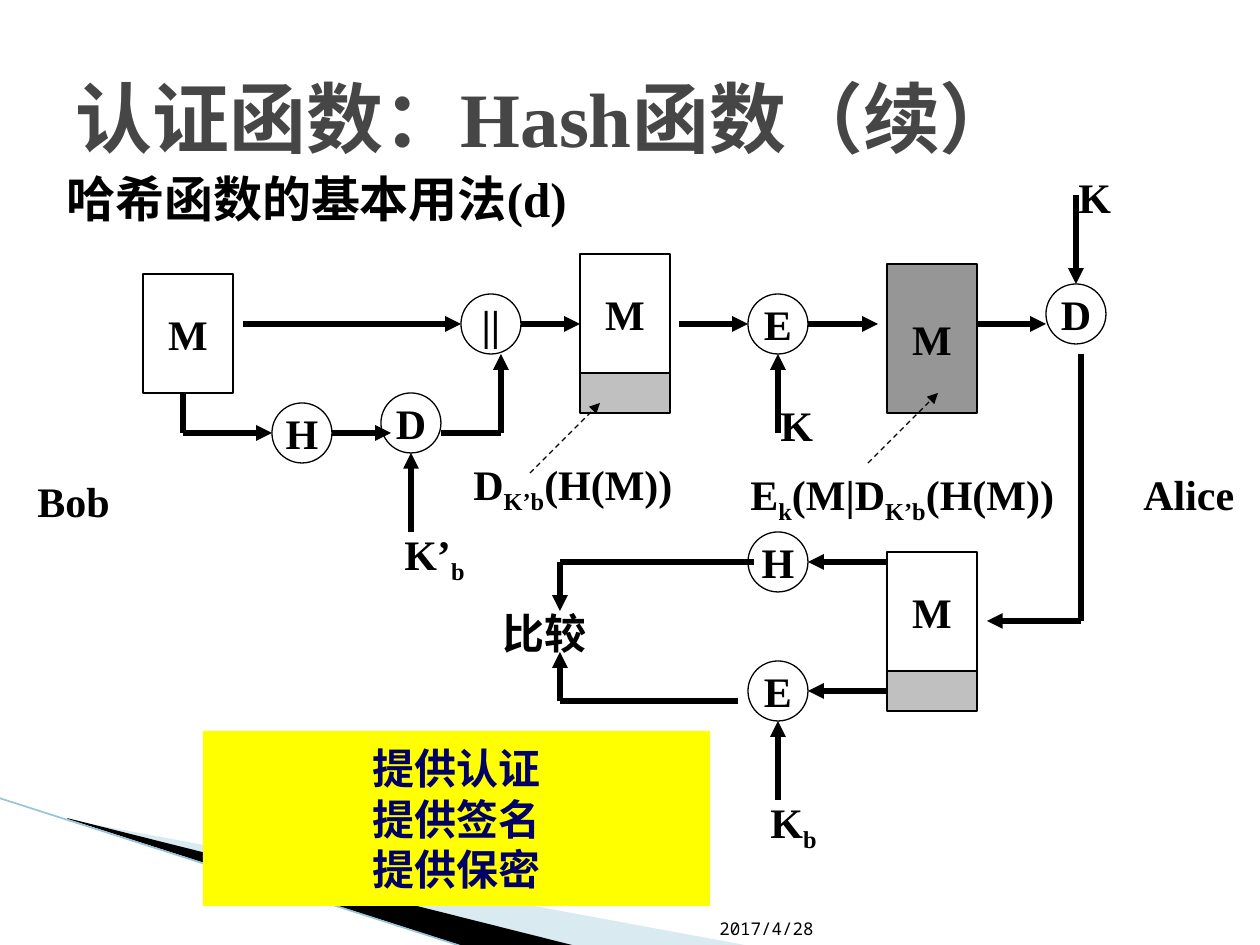
from pptx import Presentation
from pptx.dml.color import RGBColor
from pptx.enum.dml import MSO_LINE
from pptx.enum.shapes import MSO_CONNECTOR, MSO_SHAPE
from pptx.enum.text import MSO_ANCHOR, PP_ALIGN
from pptx.oxml.ns import qn
from pptx.util import Pt
from lxml import etree

RECT = MSO_SHAPE.RECTANGLE
OVAL = MSO_SHAPE.OVAL
LINE = MSO_CONNECTOR.STRAIGHT
DASH = MSO_LINE.DASH
TOP, MID, BASE = MSO_ANCHOR.TOP, MSO_ANCHOR.MIDDLE, MSO_ANCHOR.BOTTOM
CENTER = PP_ALIGN.CENTER
SCALE = 914400 / 126
SERIF = "Times New Roman"
MONO = "Noto Sans Mono"
BLACK, WHITE, GRAY = "000000", "FFFFFF", "C0C0C0"
DISC = 60
WIDE = 90


def px(n):
    return round(n * SCALE)


def rgb(code):
    return RGBColor.from_string(code)


def style(run, size=24, color=BLACK, face=SERIF, bold=True):
    run.font.size = Pt(size)
    run.font.name = face
    run.font.bold = bold
    run.font.color.rgb = rgb(color)


def label(slide, box, parts, anchor=TOP, **look):
    frame = slide.shapes.add_textbox(*map(px, box)).text_frame
    frame.word_wrap = True
    frame.vertical_anchor = anchor
    para = frame.paragraphs[0]
    for i, part in enumerate(parts):
        run = para.add_run()
        run.text = part
        style(run, **look)
        if i % 2:
            run.font._element.set("baseline", "-25000")


def node(slide, kind, box, text="", fill=WHITE, edge=BLACK, color=BLACK):
    shape = slide.shapes.add_shape(kind, *map(px, box))
    shape.shadow.inherit = False
    shape.fill.solid()
    shape.fill.fore_color.rgb = rgb(fill)
    if edge:
        shape.line.color.rgb = rgb(edge)
        shape.line.width = Pt(0.75)
    else:
        shape.line.fill.background()
    if text:
        frame = shape.text_frame
        frame.text = text
        frame.word_wrap = False
        frame.vertical_anchor = MID
        for para in frame.paragraphs:
            para.alignment = CENTER
            style(para.runs[0], color=color)
    return shape


def line(slide, start, end, width=3, color=BLACK, arrow=True, dash=None):
    wire = slide.shapes.add_connector(LINE, *map(px, (*start, *end)))
    wire.line.color.rgb = rgb(color)
    wire.line.width = Pt(width)
    if dash:
        wire.line.dash_style = dash
    if arrow:
        tip = etree.SubElement(wire.line._get_or_add_ln(), qn("a:tailEnd"))
        tip.set("type", "triangle")
    etree.SubElement(wire._element.spPr, qn("a:effectLst"))
    return wire


def route(slide, *points):
    last = len(points) - 2
    for i, (start, end) in enumerate(zip(points, points[1:])):
        line(slide, start, end, arrow=i == last)


def wedge(slide, points, color, alpha=None):
    path = slide.shapes.build_freeform(*points[0], scale=SCALE)
    path.add_line_segments(points[1:], close=True)
    shape = path.convert_to_shape()
    shape.shadow.inherit = False
    shape.fill.solid()
    shape.fill.fore_color.rgb = rgb(color)
    shape.line.fill.background()
    if alpha:
        tint = shape._element.spPr.find(qn("a:solidFill"))[0]
        etree.SubElement(tint, qn("a:alpha")).set("val", str(alpha * 1000))


def decor(slide):
    wedge(slide, [(69, 820), (750, 946), (575, 946), (69, 819)], "A0CBDC", 40)
    wedge(slide, [(67, 818), (576, 946), (469, 948), (68, 819)], BLACK)
    line(slide, (-1, 798), (467, 948), 0.95, "97C5D8", arrow=False)


def nodes(slide):
    node(slide, RECT, (143, 274, WIDE, 119), "M")
    node(slide, RECT, (887, 264, WIDE, 149), "M", "969696")
    for x, y in (580, 254), (887, 552):
        node(slide, RECT, (x, y, WIDE, 119), "M")
        tag = node(slide, RECT, (x, y + 119, WIDE, 40), fill=GRAY)
    for text, x, y in (
        ("||", 461, 294), ("E", 748, 294), ("D", 1046, 284),
        ("H", 272, 403), ("D", 381, 393), ("H", 748, 532), ("E", 748, 661),
    ):
        node(slide, OVAL, (x, y, DISC, DISC), text)
    node(slide, RECT, (203, 731, 507, 175), "提供认证\n提供签名\n提供保密",
         "FFFF00", None, "000066")
    return tag


def wires(slide, tag):
    for x1, x2 in (243, 461), (521, 580), (679, 748), (808, 878), (977, 1046):
        route(slide, (x1, 324), (x2, 324))
    for x, y1, y2 in (
        (778, 433, 354), (1076, 195, 284), (411, 532, 453), (778, 800, 721),
    ):
        route(slide, (x, y1), (x, y2))
    route(slide, (183, 393), (183, 433), (272, 433))
    route(slide, (332, 433), (391, 433))
    route(slide, (441, 433), (501, 433), (501, 354))
    route(slide, (1081, 354), (1081, 621), (987, 621))
    route(slide, (887, 562), (808, 562))
    route(slide, (754, 562), (560, 562), (560, 611))
    route(slide, (738, 701), (560, 701), (560, 652))
    line(slide, (887, 691), (808, 691)).begin_connect(tag, 1)
    for x, y in (530, 473), (868, 463):
        line(slide, (x, y), (x + 70, y - 70), 0.75, dash=DASH)


def labels(slide):
    label(slide, (63, 38, 1134, 158), ["认证函数：Hash函数（续）"], MID,
          size=44, color="464646")
    label(slide, (54, 145, 953, 106), ["哈希函数的基本用法(d)"], MID, size=28)
    label(slide, (707, 883, 141, 62), ["2017/4/28"], BASE,
          size=10, face=MONO, bold=False)
    for x, y, wide, *parts in (
        (768, 393, 90, "K"), (1066, 165, 90, "K"),
        (461, 452, 267, "D", "K’b", "(H(M))"),
        (738, 462, 348, "E", "k", "(M|D", "K’b", "(H(M))"),
        (392, 522, 90, "K’", "b"), (758, 790, 90, "K", "b"),
        (490, 601, 118, "比较"), (25, 469, 179, "Bob"), (1131, 462, 129, "Alice"),
    ):
        label(slide, (x, y, wide, 63), parts)


def main():
    deck = Presentation()
    deck.slide_width, deck.slide_height = px(1260), px(945)
    slide = deck.slides.add_slide(deck.slide_layouts[6])
    decor(slide)
    tag = nodes(slide)
    wires(slide, tag)
    labels(slide)
    deck.save("out.pptx")


if __name__ == "__main__":
    main()
